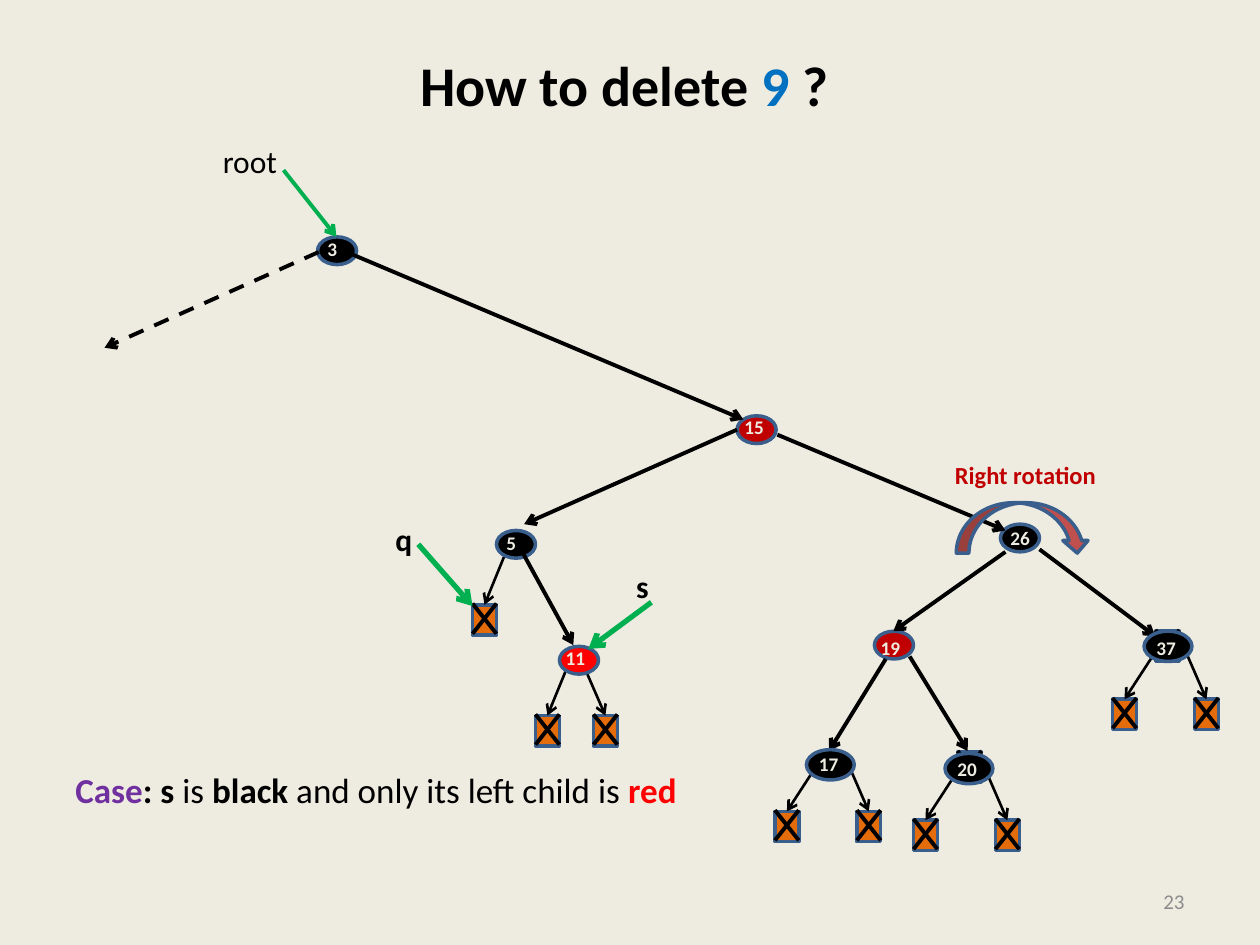
import pptx
import pptx.util
import pptx.dml.color
import pptx.enum.dml
import pptx.enum.shapes
import pptx.enum.text
import pptx.oxml
import pptx.oxml.ns
import lxml.etree

Inches = pptx.util.Inches
Pt = pptx.util.Pt
RGBColor = pptx.dml.color.RGBColor
SHAPE = pptx.enum.shapes.MSO_SHAPE
ANCHOR = pptx.enum.text.MSO_ANCHOR
ALIGN = pptx.enum.text.PP_ALIGN

BLACK = RGBColor(0, 0, 0)
CREAM = RGBColor(0xEE, 0xEC, 0xE1)
GRAY = RGBColor(0x8C, 0x8C, 0x8C)
BLUE = RGBColor(0x00, 0x70, 0xC0)
OUTLINE = RGBColor(0x3A, 0x5F, 0x8C)
ORANGE = RGBColor(0xE4, 0x6C, 0x0A)
DARK_RED = RGBColor(0xC0, 0, 0)
RED = RGBColor(0xFF, 0, 0)
BRICK = RGBColor(0xC0, 0x50, 0x4D)
GREEN = RGBColor(0, 0xB0, 0x50)
PURPLE = RGBColor(0x70, 0x30, 0xA0)

LEAF_W, LEAF_H = 0.19, 0.24
SMALL, LARGE = (0.31, 0.22), (0.38, 0.24)

# label, left, top, fill, label offset
SMALL_NODES = [
    ("15", 5.85, 3.30, DARK_RED, -0.04, -0.05),
    ("26", 7.94, 4.16, BLACK, -0.02, -0.03),
    ("19", 6.94, 5.01, DARK_RED, -0.05, -0.01),
    ("5", 3.94, 4.21, BLACK, -0.02, -0.04),
    ("11", 4.44, 5.13, RED, -0.05, -0.05),
    ("3", 2.52, 1.88, BLACK, -0.02, -0.05),
]
# label, left, top, label offset down, drop to the leaves
LARGE_NODES = [
    ("37", 9.08, 5.01, -0.01, 0.54),
    ("20", 7.50, 5.98, -0.02, 0.53),
    ("17", 6.40, 5.95, -0.03, 0.49),
]
EDGES = [
    ((2.75, 2.00), (5.90, 3.33)),
    ((5.85, 3.41), (4.16, 4.16)),
    ((6.17, 3.45), (7.98, 4.21)),
    ((7.98, 4.38), (7.09, 5.01)),
    ((8.25, 4.36), (9.17, 5.05)),
    ((7.03, 5.23), (6.58, 5.96)),
    ((7.22, 5.21), (7.68, 5.96)),
    ((4.15, 4.39), (4.55, 5.12)),
]


def add_text(s, box, runs, size, align=ALIGN.LEFT, anchor=ANCHOR.TOP, wrap=False):
    """Each run is (text, colour, bold)."""
    sp = s.shapes.add_textbox(*map(Inches, box))
    tf = sp.text_frame
    tf.word_wrap = wrap
    tf.vertical_anchor = anchor
    p = tf.paragraphs[0]
    p.alignment = align
    for text, color, bold in runs:
        r = p.add_run()
        r.text = text
        r.font.name = "Calibri"
        r.font.size = Pt(size)
        r.font.bold = bold
        r.font.color.rgb = color
    return tf


def add_figure(s, kind, box, fill):
    sp = s.shapes.add_shape(kind, *map(Inches, box))
    sp.shadow.inherit = False
    sp.fill.solid()
    sp.fill.fore_color.rgb = fill
    sp.line.color.rgb = OUTLINE
    sp.line.width = Pt(2)
    return sp


def add_line(s, start, end, color=BLACK, width=2.25, arrow=True, dashed=False):
    line = s.shapes.add_connector(pptx.enum.shapes.MSO_CONNECTOR.STRAIGHT,
                                  *map(Inches, (*start, *end)))
    line.line.color.rgb = color
    line.line.width = Pt(width)
    if dashed:
        line.line.dash_style = pptx.enum.dml.MSO_LINE.DASH
    qn = pptx.oxml.ns.qn
    props = line._element.spPr
    if arrow:
        lxml.etree.SubElement(props.find(qn("a:ln")), qn("a:tailEnd"), type="arrow")
    lxml.etree.SubElement(props, qn("a:effectLst"))
    return line


def draw_leaf(s, x, y, start=None):
    """Crossed leaf box; start is the arrow's origin relative to the box."""
    leaf = add_figure(s, SHAPE.RECTANGLE, (x, y, LEAF_W, LEAF_H), ORANGE)
    top, bottom = y - 0.01, y - 0.01 + LEAF_H
    add_line(s, (x + LEAF_W, top), (x, bottom), arrow=False)
    add_line(s, (x, top), (x + LEAF_W, bottom), arrow=False)
    if start:
        line = add_line(s, (x + start[0], y + start[1]), (x + LEAF_W / 2, y), width=1.5)
        line.end_connect(leaf, 0)


def draw_node(s, box, label, fill, dx, dy):
    add_figure(s, SHAPE.OVAL, box, fill)
    width = 0.28 if len(label) == 1 else 0.36
    add_text(s, (box[0] + dx, box[1] + dy, width, 0.29), [(label, CREAM, True)], 11)


def draw_large_node(s, x, y, label, dy, drop):
    """Black node with its pair of leaves."""
    draw_leaf(s, x - 0.25, y + drop, (0.31, -0.33))
    draw_leaf(s, x + 0.4, y + drop, (-0.07, -0.38))
    draw_node(s, (x, y, *LARGE), label, BLACK, 0, dy)


def draw_tree(s):
    # Leaves of 5 and 11
    draw_leaf(s, 3.75, 4.8, (0.25, -0.38))
    draw_leaf(s, 4.25, 5.68, (0.25, -0.38))
    draw_leaf(s, 4.71, 5.68, (-0.07, -0.38))
    # Leaves peeking out behind 20 and 37
    draw_leaf(s, 7.6, 5.97)
    draw_leaf(s, 9.17, 5.01)
    # Nodes and edges
    for label, x, y, fill, dx, dy in SMALL_NODES:
        draw_node(s, (x, y, *SMALL), label, fill, dx, dy)
    for start, end in EDGES:
        add_line(s, start, end)
    add_line(s, (2.53, 2), (0.83, 2.76), dashed=True)
    for label, x, y, dy, drop in LARGE_NODES:
        draw_large_node(s, x, y, label, dy, drop)


def draw_pointer(s, box, label, start, end, bold=True, width=3):
    add_line(s, start, end, GREEN, width)
    add_text(s, box, [(label, BLACK, bold)], 18)


def draw_rotation(s, x, y):
    add_figure(s, SHAPE.CURVED_DOWN_ARROW, (x + 0.11, y + 0.39, 1.06, 0.4), BRICK)
    add_text(s, (x, y, 1.33, 0.34), [("Right rotation", DARK_RED, True)], 14)


def draw_title(s, box):
    runs = [("How to delete ", BLACK, True), ("9 ", BLUE, True), ("?", BLACK, True)]
    tf = add_text(s, box, runs, 32, ALIGN.CENTER, wrap=True)
    tf.margin_top = Inches(0.1)


def draw_case(s, box):
    runs = [("Case", PURPLE, True), (": s ", BLACK, True), ("is ", BLACK, False),
            ("black", BLACK, True), (" and only its left child is ", BLACK, False),
            ("red", RED, True)]
    tf = add_text(s, box, runs, 20, anchor=ANCHOR.BOTTOM, wrap=True)
    tf.margin_bottom = Inches(0.27)


def main():
    prs = pptx.Presentation()
    prs.slide_width, prs.slide_height = Inches(10), Inches(7.5)
    s = prs.slides.add_slide(prs.slide_layouts[6])
    s.background.fill.solid()
    s.background.fill.fore_color.rgb = CREAM

    draw_title(s, (0.08, 0.3, 9.75, 1.25))
    draw_case(s, (0.5, 1.75, 9, 4.95))
    add_text(s, (7.17, 6.95, 2.33, 0.4), [("23", GRAY, False)], 12,
             ALIGN.RIGHT, ANCHOR.MIDDLE, wrap=True)
    draw_tree(s)
    draw_pointer(s, (1.67, 1.08, 0.64, 0.4), "root", (2.25, 1.35), (2.67, 1.88), False, 2.25)
    draw_pointer(s, (3.04, 4.08, 0.28, 0.36), "q", (3.32, 4.32), (3.75, 4.81))
    draw_pointer(s, (4.95, 4.45, 0.3, 0.4), "s", (5.17, 4.78), (4.67, 5.15))
    draw_rotation(s, 7.48, 3.6)
    prs.save("out.pptx")


if __name__ == "__main__":
    main()
